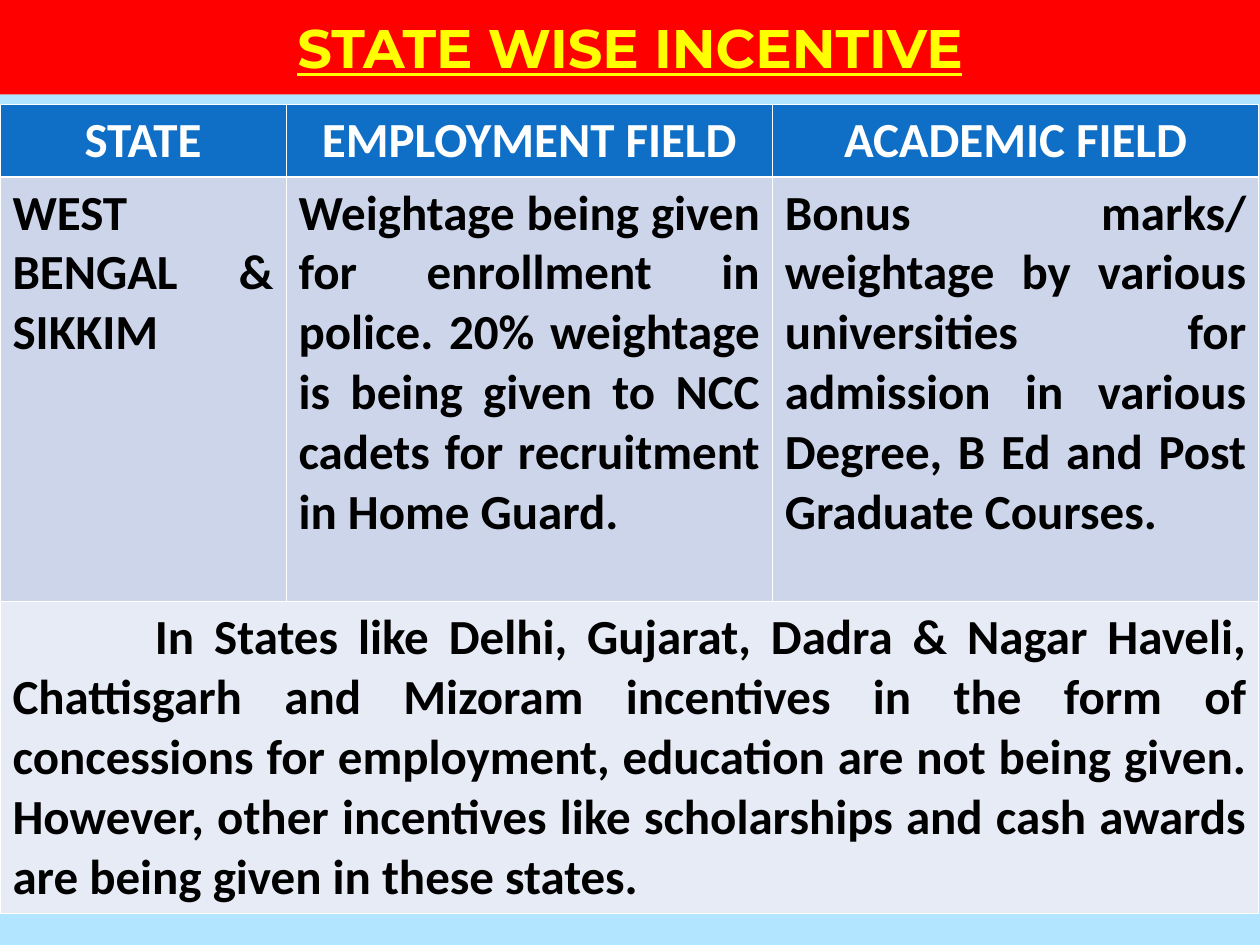
from dataclasses import dataclass

from lxml.etree import SubElement
from pptx import Presentation
from pptx.dml.color import RGBColor
from pptx.enum.text import MSO_ANCHOR, MSO_AUTO_SIZE, PP_ALIGN
from pptx.oxml.ns import qn
from pptx.util import Inches, Pt

COLORS = {
    "background": "B2E5FF",
    "banner": "FF0000",
    "title": "FFFF00",
    "header": "0F6FC6",
    "state": "CCD5EA",
    "remark": "E7EBF5",
    "white": "FFFFFF",
    "black": "000000",
}
COLUMN_WIDTHS = (2.27, 3.86, 3.86)
THIN, THICK = 0.45, 1.47


@dataclass(frozen=True)
class RowStyle:
    height: float
    fill: str
    font: str
    align: PP_ALIGN
    top: float = THIN
    bottom: float = THIN
    first_indent: float = 0


@dataclass(frozen=True)
class Row:
    style: RowStyle
    texts: tuple[str, ...]


ROWS = (
    Row(
        RowStyle(0.57, "header", "white", PP_ALIGN.CENTER, bottom=THICK),
        ("STATE", "EMPLOYMENT FIELD", "ACADEMIC FIELD"),
    ),
    Row(
        RowStyle(3.37, "state", "black", PP_ALIGN.JUSTIFY, top=THICK),
        (
            "WEST BENGAL & SIKKIM",
            "Weightage being given for enrollment in police. 20% weightage is "
            "being given to NCC cadets for recruitment in Home Guard.",
            "Bonus marks/ weightage by various universities for admission in "
            "various Degree, B Ed and Post Graduate Courses.",
        ),
    ),
    Row(
        RowStyle(2.44, "remark", "black", PP_ALIGN.JUSTIFY, first_indent=1.13),
        (
            "In States like Delhi, Gujarat, Dadra & Nagar Haveli, Chattisgarh "
            "and Mizoram incentives in the form of concessions for employment, "
            "education are not being given. However, other incentives like "
            "scholarships and cash awards are being given in these states.",
        ),
    ),
)


def color(name: str) -> RGBColor:
    return RGBColor.from_string(COLORS[name])


def paint(target, name: str) -> None:
    target.fill.solid()
    target.fill.fore_color.rgb = color(name)


def write(frame, text: str, face: str, size: float, name: str, align: PP_ALIGN):
    frame.text = text
    paragraph = frame.paragraphs[0]
    paragraph.alignment = align
    font = paragraph.runs[0].font
    font.name, font.size, font.bold = face, Pt(size), True
    font.color.rgb = color(name)
    return paragraph


def add_borders(cell, style: RowStyle) -> None:
    properties = cell._tc.get_or_add_tcPr()
    widths = {"lnL": THIN, "lnR": THIN, "lnT": style.top, "lnB": style.bottom}
    for tag, width in widths.items():
        line = SubElement(properties, qn(f"a:{tag}"), w=str(Pt(width)))
        fill = SubElement(line, qn("a:solidFill"))
        SubElement(fill, qn("a:srgbClr"), val=COLORS["white"])


def add_title(page) -> None:
    title = page.shapes.title
    title.left, title.top = Inches(0), Inches(0)
    title.width, title.height = Inches(10), Inches(0.75)
    paint(title, "banner")
    frame = title.text_frame
    frame.auto_size = MSO_AUTO_SIZE.NONE
    frame.vertical_anchor = MSO_ANCHOR.MIDDLE
    paragraph = write(
        frame, "STATE WISE INCENTIVE", "Montserrat", 31, "title", PP_ALIGN.CENTER
    )
    paragraph.runs[0].font.underline = True


def add_incentive_table(page) -> None:
    table = page.shapes.add_table(
        len(ROWS), len(COLUMN_WIDTHS),
        Inches(0), Inches(0.83), Inches(10), Inches(6.37),
    ).table
    for column, width in zip(table.columns, COLUMN_WIDTHS):
        column.width = Inches(width)
    for table_row, row in zip(table.rows, ROWS):
        style = row.style
        table_row.height = Inches(style.height)
        cells = list(table_row.cells)
        for cell in cells:
            add_borders(cell, style)
            paint(cell, style.fill)
        if len(row.texts) == 1:
            cells[0].merge(cells[-1])
        for cell, text in zip(cells, row.texts):
            paragraph = write(
                cell.text_frame, text, "Calibri", 28, style.font, style.align
            )
            if style.first_indent:
                properties = paragraph._p.get_or_add_pPr()
                properties.set("marL", "0")
                properties.set("indent", str(Inches(style.first_indent)))


def main() -> None:
    deck = Presentation()
    deck.slide_width, deck.slide_height = Inches(10), Inches(7.5)
    page = deck.slides.add_slide(deck.slide_layouts[5])
    paint(page.background, "background")
    add_title(page)
    add_incentive_table(page)
    deck.save("out.pptx")


if __name__ == "__main__":
    main()
